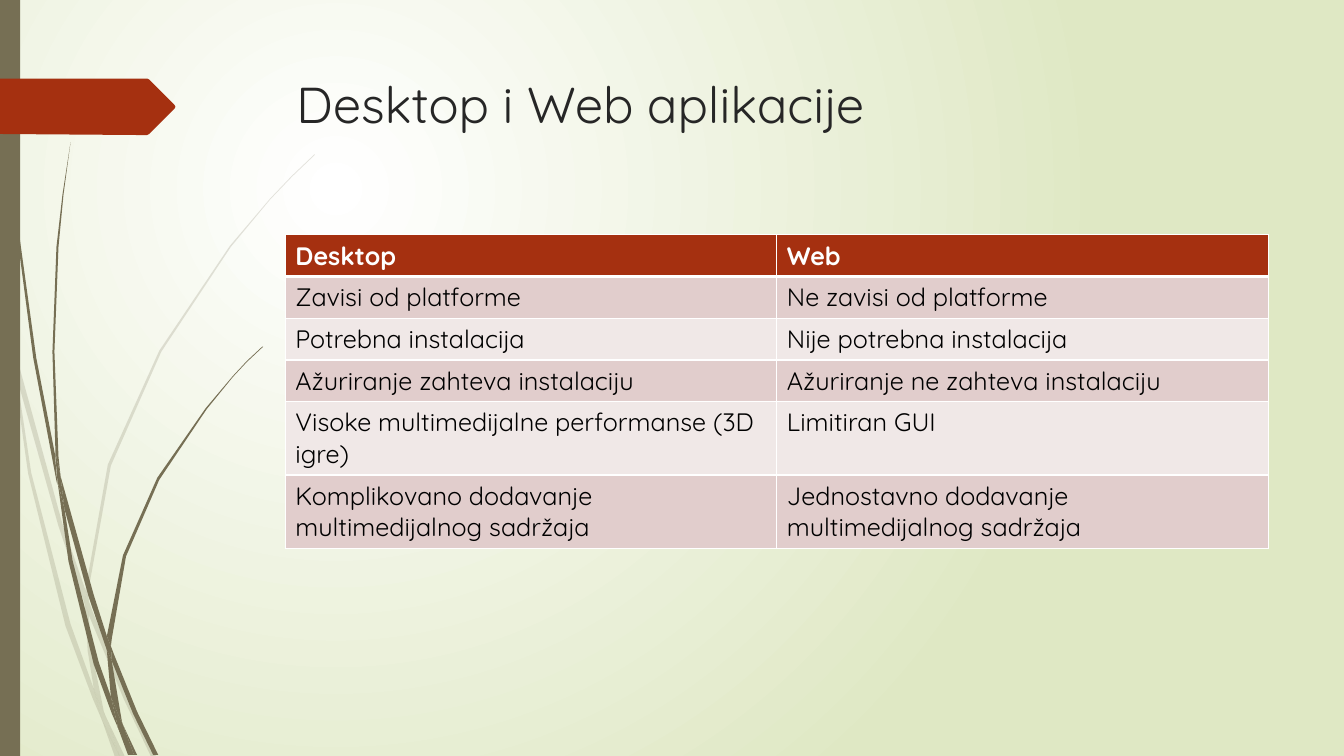
from dataclasses import dataclass

import pptx
import pptx.dml.color
import pptx.enum.text
import pptx.oxml
import pptx.oxml.ns
import pptx.util
from pptx.util import Inches


@dataclass(frozen=True)
class Theme:
    font: str = "Quicksand"
    title_size: int = 36
    table_size: int = 18
    title: str = "262626"
    text: str = "000000"
    white: str = "FFFFFF"
    backdrop: str = "DFE8C4"
    accent: str = "A53010"
    stem: str = "766F54"
    bands: tuple = ("E1CDCC", "F0E8E7")
    faint: int = 20
    thin_rule: int = 1
    thick_rule: int = 3


THEME = Theme()

ROWS = [
    ("Desktop", "Web"),
    ("Zavisi od platforme", "Ne zavisi od platforme"),
    ("Potrebna instalacija", "Nije potrebna instalacija"),
    ("Ažuriranje zahteva instalaciju", "Ažuriranje ne zahteva instalaciju"),
    ("Visoke multimedijalne performanse (3D igre)", "Limitiran GUI"),
    ("Komplikovano dodavanje multimedijalnog sadržaja",
     "Jednostavno dodavanje multimedijalnog sadržaja"),
]

# Outlines of the grass blades, as corner points in inches
FAINT_GRASS = [
    [(0.11, 3.5), (0.09, 3.22), (0, 2.82), (0, 2.99), (0.1, 3.44)],
    [(0.58, 5.22), (0.84, 5.99), (0.85, 5.86), (0.62, 5.2), (0.14, 3.45),
     (0.17, 3.76)],
    [(0.92, 6.07), (0.88, 5.96), (0.88, 6.1), (1.23, 6.94), (1.5, 7.51),
     (1.55, 7.51), (1.27, 6.92)],
    [(1.19, 7.51), (1.24, 7.51), (1.05, 7.11)],
    [(0.93, 6.83), (0.7, 6.19), (0.31, 4.69), (0.17, 3.76), (0.11, 3.5),
     (0.28, 4.7), (0.65, 6.21), (0.92, 6.93), (1.01, 7.14), (0.99, 7.07)],
    [(0.84, 5.99), (0.87, 6.46), (0.93, 6.83), (0.96, 6.92), (1.05, 7.11),
     (1.03, 7.06), (0.91, 6.46), (0.88, 6.1), (0.88, 6.08)],
    [(0.88, 5.84), (1.1, 4.62), (1.6, 3.49), (2.29, 2.45), (2.68, 1.98),
     (2.9, 1.75), (3.12, 1.54), (3.12, 1.53), (2.89, 1.75), (2.68, 1.97),
     (2.28, 2.44), (1.58, 3.48), (1.07, 4.61), (0.85, 5.84), (0.85, 5.86),
     (0.88, 5.96)],
    [(1.01, 7.14), (1.14, 7.51), (1.19, 7.51)],
    [(0.88, 6.08), (0.88, 6.1), (0.88, 5.96), (0.85, 5.86), (0.84, 5.99)],
    [(0.96, 6.92), (0.93, 6.83), (0.99, 7.07), (1.01, 7.14), (1.19, 7.51),
     (1.05, 7.11)],
]
SOLID_GRASS = [
    [(0.07, 1.1), (0.17, 2.33), (0.33, 3.55), (0.56, 4.77), (0.57, 4.81),
     (0.55, 4.57), (0.55, 4.53), (0.36, 3.55), (0.19, 2.32), (0.08, 1.09),
     (0.05, 0.48), (0.04, 0), (0.03, 0), (0.04, 0.48)],
    [(0.88, 5.92), (1.06, 6.45), (1.06, 6.33), (1.06, 6.31), (0.93, 5.9),
     (0.6, 4.72), (0.64, 5.05)],
    [(1.13, 6.49), (1.1, 6.41), (1.11, 6.56), (1.32, 7.08), (1.52, 7.49),
     (1.57, 7.49), (1.36, 7.06)],
    [(1.1, 6.91), (0.98, 6.57), (0.72, 5.56), (0.64, 5.05), (0.57, 4.77),
     (0.68, 5.57), (0.93, 6.59), (1.11, 7.08), (1.17, 7.22), (1.16, 7.17)],
    [(0.6, 4.72), (0.58, 4.53), (0.54, 3.49), (0.58, 2.45), (0.63, 1.93),
     (0.7, 1.41), (0.62, 1.93), (0.56, 2.45), (0.52, 3.49), (0.55, 4.49)],
    [(1.33, 7.49), (1.36, 7.49), (1.22, 7.19)],
    [(0.57, 4.77), (0.64, 5.05), (0.6, 4.72), (0.55, 4.49), (0.55, 4.53)],
    [(1.11, 6.33), (1.25, 5.52), (1.58, 4.76), (2.05, 4.06), (2.31, 3.74),
     (2.45, 3.59), (2.61, 3.44), (2.6, 3.44), (2.45, 3.58), (2.31, 3.73),
     (2.04, 4.05), (1.56, 4.74), (1.22, 5.51), (1.06, 6.31), (1.1, 6.41)],
    [(1.17, 7.22), (1.27, 7.49), (1.31, 7.49)],
    [(1.06, 6.45), (1.1, 6.91), (1.16, 7.06), (1.22, 7.19), (1.21, 7.16),
     (1.11, 6.56), (1.09, 6.51)],
    [(1.06, 6.45), (1.09, 6.51), (1.11, 6.56), (1.1, 6.41), (1.06, 6.31),
     (1.06, 6.33)],
    [(1.16, 7.06), (1.1, 6.91), (1.16, 7.17), (1.17, 7.22), (1.3, 7.49),
     (1.33, 7.49), (1.22, 7.19)],
]
PAGE_TAG = [(1.73, 1.08), (1.48, 1.33), (1.46, 1.34), (1.36, 1.34), (0, 1.33),
            (0, 0.78), (1.46, 0.78), (1.48, 0.79), (1.73, 1.04), (1.74, 1.06)]


def rgb(colour):
    return pptx.dml.color.RGBColor.from_string(colour)


def make_element(tag, **attributes):
    element = pptx.oxml.parse_xml(f"<a:{tag} {pptx.oxml.ns.nsdecls('a')}/>")
    for name, value in attributes.items():
        element.set(name, str(value))
    return element


def set_font(paragraph, size, colour, bold=False):
    paragraph.font.name = THEME.font
    paragraph.font.size = pptx.util.Pt(size)
    paragraph.font.bold = bold
    paragraph.font.color.rgb = rgb(colour)


def paint(shape, colour, opacity=100):
    shape.shadow.inherit = False
    shape.line.fill.background()
    shape.fill.solid()
    shape.fill.fore_color.rgb = rgb(colour)
    if opacity < 100:
        for paint_colour in shape._element.spPr.xpath("./a:solidFill/a:srgbClr"):
            paint_colour.append(make_element("alpha", val=opacity * 1000))


def add_outline(shapes, corners, colour, opacity=100):
    points = [(Inches(x), Inches(y)) for x, y in corners]
    builder = shapes.build_freeform(*points[0])
    builder.add_line_segments(points[1:], close=True)
    paint(builder.convert_to_shape(), colour, opacity)


def add_grass(page, blades, opacity=100):
    group = page.shapes.add_group_shape()
    for corners in blades:
        add_outline(group.shapes, corners, THEME.stem, opacity)


def set_backdrop(page):
    fill = page.background.fill
    fill.gradient()
    for stop, colour in zip(fill.gradient_stops, (THEME.white, THEME.backdrop)):
        stop.color.rgb = rgb(colour)
    # Swap the linear direction for a circle centred at the upper left
    circle = make_element("path", path="circle")
    circle.append(make_element("fillToRect", l=50000, t=50000, r=100000, b=100000))
    linear = page.element.xpath(".//a:gradFill/a:lin")[0]
    linear.getparent().replace(linear, circle)


def set_title(page, text):
    title = page.shapes.title
    title.left, title.top = Inches(2.84), Inches(0.68)
    title.width, title.height = Inches(9.75), Inches(1.4)
    title.text_frame.text = text
    title.text_frame.vertical_anchor = pptx.enum.text.MSO_ANCHOR.TOP
    paragraph = title.text_frame.paragraphs[0]
    paragraph.alignment = pptx.enum.text.PP_ALIGN.LEFT
    set_font(paragraph, THEME.title_size, THEME.title)


def add_border(cell, side, width):
    line = make_element(f"ln{side}", w=pptx.util.Pt(width))
    solid = make_element("solidFill")
    solid.append(make_element("srgbClr", val=THEME.white))
    line.append(solid)
    cell._tc.get_or_add_tcPr().append(line)


def format_cell(cell, text, row):
    header = row == 0
    cell.text = text
    set_font(cell.text_frame.paragraphs[0], THEME.table_size,
             THEME.white if header else THEME.text, header)
    # Borders precede the fill; the rule under the header is thicker
    for side in "LRTB":
        thick = (row, side) in ((0, "B"), (1, "T"))
        add_border(cell, side, THEME.thick_rule if thick else THEME.thin_rule)
    cell.fill.solid()
    cell.fill.fore_color.rgb = rgb(THEME.accent if header else THEME.bands[(row - 1) % 2])


def add_comparison(page, rows):
    frame = page.shapes.add_table(len(rows), len(rows[0]), Inches(2.83),
                                  Inches(2.33), Inches(9.75), Inches(3.02))
    for row, texts in enumerate(rows):
        frame.table.rows[row].height = Inches(0.41)
        for column, text in enumerate(texts):
            format_cell(frame.table.cell(row, column), text, row)
    frame.height = Inches(3.02)


def main():
    deck = pptx.Presentation()
    deck.slide_width, deck.slide_height = Inches(13.33), Inches(7.5)
    page = deck.slides.add_slide(deck.slide_layouts[5])

    # Decoration
    set_backdrop(page)
    add_grass(page, FAINT_GRASS, THEME.faint)
    add_grass(page, SOLID_GRASS)
    side_bar = page.shapes.add_shape(pptx.enum.shapes.MSO_SHAPE.RECTANGLE,
                                     0, 0, Inches(0.2), Inches(7.5))
    paint(side_bar, THEME.stem)
    add_outline(page.shapes, PAGE_TAG, THEME.accent)

    # Content
    set_title(page, "Desktop i Web aplikacije")
    add_comparison(page, ROWS)
    deck.save("out.pptx")


if __name__ == "__main__":
    main()
